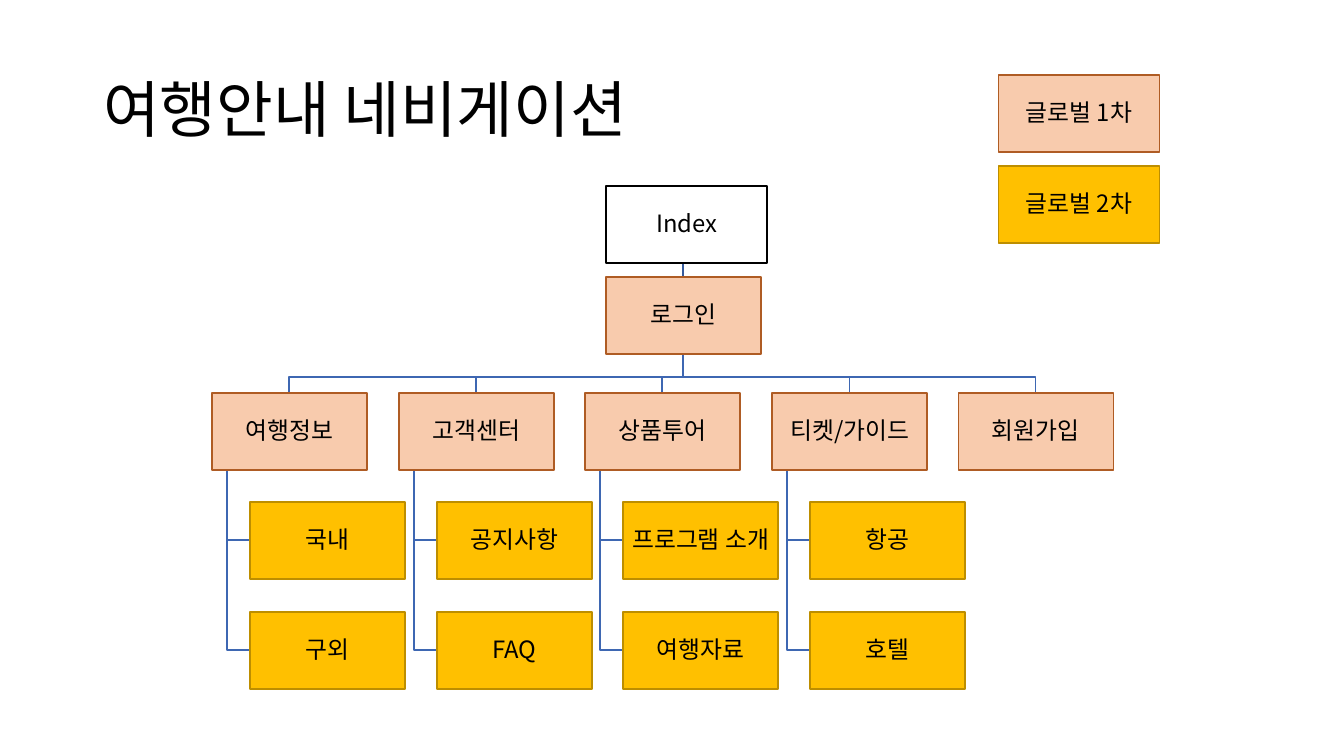
from lxml.etree import SubElement
from pptx import Presentation
from pptx.dml.color import RGBColor
from pptx.enum.shapes import MSO_SHAPE
from pptx.enum.text import MSO_ANCHOR, PP_ALIGN
from pptx.oxml.ns import qn
from pptx.util import Emu, Inches, Pt

EMU_PER_PIXEL = 914400 / 100.8
FONT = "Noto Sans CJK KR"
WHITE_STYLE = ("FFFFFF", "000000")
PRIMARY_STYLE = ("F8CBAD", "AF5C24")
SECONDARY_STYLE = ("FFC000", "BD8E00")
color = RGBColor.from_string


def style_text(text_frame, text, size, alignment):
    """Write one vertically centred paragraph in the slide's font."""
    text_frame.text = text
    text_frame.word_wrap = True
    text_frame.vertical_anchor = MSO_ANCHOR.MIDDLE
    paragraph = text_frame.paragraphs[0]
    paragraph.alignment = alignment
    paragraph.line_spacing = 0.9
    paragraph.font.size = Pt(size)
    paragraph.font.name = FONT
    paragraph.font.color.rgb = color("000000")
    defaults = paragraph._p.pPr.find(qn("a:defRPr"))
    SubElement(defaults, qn("a:ea"), typeface=FONT)


def add_box(text, left, top, width, style):
    """Add a labelled navigation box, placed in pixels."""
    bounds = [Emu(round(value * EMU_PER_PIXEL)) for value in (left, top, width, BOX_HEIGHT)]
    box = slide.shapes.add_shape(MSO_SHAPE.RECTANGLE, *bounds)
    fill, line = style
    box.shadow.inherit = False
    box.fill.solid()
    box.fill.fore_color.rgb = color(fill)
    box.line.color.rgb = color(line)
    box.line.width = Pt(1)
    frame = box.text_frame
    frame.margin_left = frame.margin_right = Inches(0.01)
    frame.margin_top = frame.margin_bottom = Inches(0.01)
    style_text(frame, text, 17, PP_ALIGN.CENTER)


presentation = Presentation()
presentation.slide_width = Inches(13.33)
presentation.slide_height = Inches(7.5)
slide = presentation.slides.add_slide(presentation.slide_layouts[5])

title = slide.shapes.title
title.left, title.top, title.width, title.height = [
    Emu(round(value * EMU_PER_PIXEL)) for value in (93, 40, 1159, 146)
]
style_text(title.text_frame, "여행안내 네비게이션", 44, PP_ALIGN.LEFT)

# Layout in pixels
BOX_WIDTH, WIDE_BOX_WIDTH, BOX_HEIGHT = 155, 161, 77
ROOT_LEFT, INDEX_TOP, LOGIN_TOP = 606, 186, 277
TRUNK_X, BRANCH_Y = 683, 377
MENU_LEFT, MENU_TOP, MENU_STEP = 212, 393, 186.6
CHILD_INDENT, SPINE_INDENT = 38, 15
CHILD_TOP, CHILD_STEP = 502, 109.5

menus = [
    ("여행정보", ["국내", "구외"]),
    ("고객센터", ["공지사항", "FAQ"]),
    ("상품투어", ["프로그램 소개", "여행자료"]),
    ("티켓/가이드", ["항공", "호텔"]),
    ("회원가입", []),
]

# Connecting lines and boxes share the same grid; lines go behind the boxes
index_bottom = INDEX_TOP + BOX_HEIGHT
login_bottom = LOGIN_TOP + BOX_HEIGHT
index_center = ROOT_LEFT + WIDE_BOX_WIDTH // 2
routes = [("365B9D", [(index_center, index_bottom), (TRUNK_X, index_bottom), (TRUNK_X, LOGIN_TOP)])]
boxes = [
    ("Index", ROOT_LEFT, INDEX_TOP, WIDE_BOX_WIDTH, WHITE_STYLE),
    ("로그인", ROOT_LEFT, LOGIN_TOP, BOX_WIDTH, PRIMARY_STYLE),
]
for column, (menu, children) in enumerate(menus):
    left = round(MENU_LEFT + column * MENU_STEP)
    center = left + BOX_WIDTH // 2
    boxes.append((menu, left, MENU_TOP, BOX_WIDTH, PRIMARY_STYLE))
    routes.append(("3E67B2", [(TRUNK_X, login_bottom), (TRUNK_X, BRANCH_Y),
                              (center, BRANCH_Y), (center, MENU_TOP)]))
    spine = left + SPINE_INDENT
    child_left = left + CHILD_INDENT
    for row, child in enumerate(children):
        top = round(CHILD_TOP + row * CHILD_STEP)
        middle = top + BOX_HEIGHT // 2
        boxes.append((child, child_left, top, BOX_WIDTH, SECONDARY_STYLE))
        routes.append(("3E67B2", [(spine, MENU_TOP + BOX_HEIGHT), (spine, middle),
                                  (child_left, middle)]))

for line_color, points in routes:
    builder = slide.shapes.build_freeform(*points[0], scale=EMU_PER_PIXEL)
    builder.add_line_segments(points[1:], close=False)
    route = builder.convert_to_shape()
    route.shadow.inherit = False
    route.fill.background()
    route.line.color.rgb = color(line_color)
    route.line.width = Pt(1)

legend = [("글로벌 1차", 75, PRIMARY_STYLE), ("글로벌 2차", 166, SECONDARY_STYLE)]
boxes += [(text, 998, top, WIDE_BOX_WIDTH, style) for text, top, style in legend]
for box in boxes:
    add_box(*box)

presentation.save("out.pptx")
